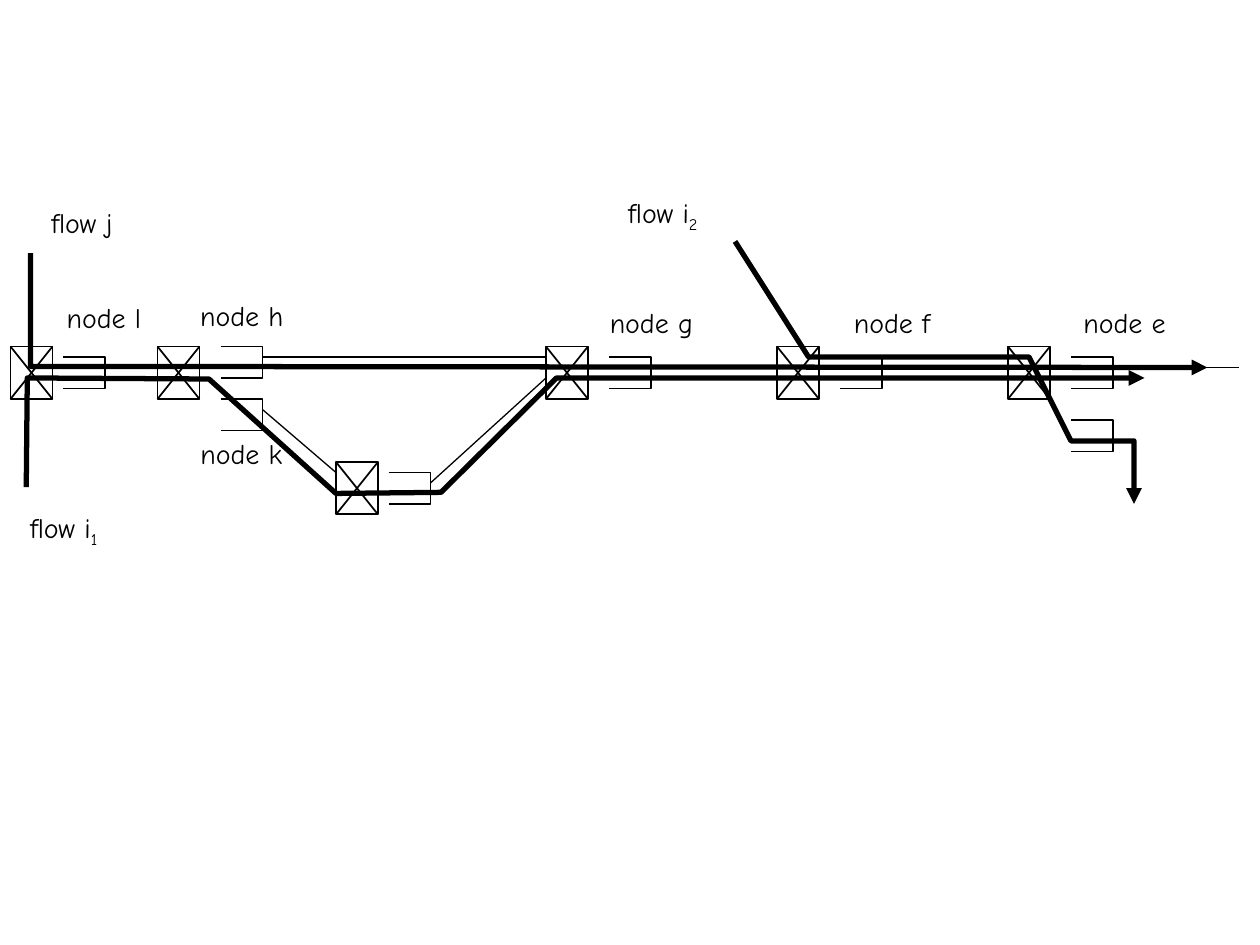
from dataclasses import dataclass

from lxml.etree import SubElement
from pptx import Presentation
from pptx.dml.color import RGBColor
from pptx.enum.shapes import MSO_CONNECTOR, MSO_SHAPE
from pptx.enum.text import MSO_AUTO_SIZE, PP_ALIGN
from pptx.oxml.ns import qn
from pptx.util import Emu, Inches, Pt


@dataclass(frozen=True)
class Theme:
    font: str = "Comic Neue"
    text_size: float = 16
    ink: RGBColor = RGBColor(0, 0, 0)
    paper: RGBColor = RGBColor(255, 255, 255)
    link_width: float = 0.75
    node_width: float = 1
    flow_width: float = 3


@dataclass(frozen=True)
class Label:
    text: str
    left: float
    top: float
    width: float
    subscript: str = ""


THEME = Theme()
Point = tuple[float, float]

# The grid has 120 columns and 90 rows, twelve to the inch
COLUMNS, ROWS = 120, 90
SWITCH_SIZE = (4, 5)
QUEUE_SIZE = (4, 3)
LABEL_SIDE_MARGIN = 0.5

LABELS = [
    Label("flow j", 3.72, 18.96, 8.16),
    Label("node l", 5.16, 28, 9.48),
    Label("node h", 17.88, 27.84, 10.32),
    Label("node g", 56.88, 28.5, 10.32),
    Label("node k", 17.88, 41, 10.2),
    Label("node f", 80.16, 28.5, 9.6),
    Label("node e", 102, 28.5, 10.2),
    Label("flow i", 0.96, 48, 10.2, "1"),
    Label("flow i", 57, 18, 12.24, "2"),
]
SWITCHES = [(1, 33), (15, 33), (52, 33), (32, 44), (74, 33), (96, 33)]
QUEUES = [(6, 34), (21, 33), (21, 38), (58, 34), (37, 45), (80, 34),
          (102, 34), (102, 40)]
LINKS = [
    ((25, 34), (52, 34)), ((62, 35), (74, 35)), ((84, 35), (96, 35)),
    ((3, 35), (15, 35)), ((25, 39), (32, 45)), ((41, 46), (52, 36)),
    ((106, 35), (118, 35)),
]
FLOWS = [
    # flow j
    [(2.9, 24.1), (2.9, 34.9), (115, 35)],
    # flow i1
    [(2.5, 46.4), (2.6, 36), (19.9, 36.1), (32, 47), (42, 46.9), (53, 36),
     (109, 36)],
    # flow i2
    [(70, 23), (77, 34), (98, 34), (102, 42), (108, 42), (108, 48)],
]


def grid(units: float) -> Emu:
    return Inches(units / 12)


def style_line(shape, width: float, color: RGBColor = THEME.ink) -> None:
    shape.line.color.rgb = color
    shape.line.width = Pt(width)


def add_text(paragraph, text: str, *, size: float = THEME.text_size,
             color: RGBColor = THEME.ink, baseline: int = 0) -> None:
    run = paragraph.add_run()
    run.text = text
    run.font.name = THEME.font
    run.font.size = Pt(size)
    run.font.color.rgb = color
    if baseline:
        run._r.get_or_add_rPr().set("baseline", str(baseline * 1000))


def add_label(shapes, label: Label) -> None:
    height = 4.92 if label.subscript else 4.44
    box = shapes.add_textbox(grid(label.left), grid(label.top),
                             grid(label.width), grid(height))
    style_line(box, THEME.link_width, THEME.paper)
    frame = box.text_frame
    # Narrow side margins keep each name on one line
    frame.margin_left = frame.margin_right = grid(LABEL_SIDE_MARGIN)
    frame.word_wrap = True
    frame.auto_size = MSO_AUTO_SIZE.SHAPE_TO_FIT_TEXT
    paragraph = frame.paragraphs[0]
    paragraph.alignment = PP_ALIGN.CENTER
    add_text(paragraph, label.text)
    if label.subscript:
        add_text(paragraph, label.subscript, baseline=-25)


def add_line(shapes, start: Point, end: Point, width: float) -> None:
    line = shapes.add_connector(MSO_CONNECTOR.STRAIGHT,
                                *(grid(value) for value in start + end))
    style_line(line, width)
    SubElement(line._element.spPr, qn("a:effectLst"))


def add_open_path(shapes, points: list[Point], width: float):
    corners = [(grid(x), grid(y)) for x, y in points]
    builder = shapes.build_freeform(*corners[0])
    builder.add_line_segments(corners[1:], close=False)
    shape = builder.convert_to_shape()
    shape.shadow.inherit = False
    shape.fill.background()
    style_line(shape, width)
    return shape


def add_queue(shapes, left: float, top: float) -> None:
    width, height = QUEUE_SIZE
    right, bottom = left + width, top + height
    queue = add_open_path(
        shapes, [(left, top), (right, top), (right, bottom), (left, bottom)],
        THEME.node_width)
    queue.fill.solid()
    queue.fill.fore_color.rgb = THEME.paper


def add_switch(shapes, left: float, top: float) -> None:
    width, height = SWITCH_SIZE
    right, bottom = left + width, top + height
    group = shapes.add_group_shape()
    frame = group.shapes.add_shape(MSO_SHAPE.RECTANGLE, grid(left), grid(top),
                                   grid(width), grid(height))
    frame.shadow.inherit = False
    frame.fill.background()
    style_line(frame, THEME.node_width)
    add_line(group.shapes, (left, top), (right, bottom), THEME.node_width)
    add_line(group.shapes, (left, bottom), (right, top), THEME.node_width)


def add_flow(shapes, points: list[Point]) -> None:
    flow = add_open_path(shapes, points, THEME.flow_width)
    SubElement(flow.line._get_or_add_ln(), qn("a:tailEnd"), type="triangle")


def main() -> None:
    presentation = Presentation()
    presentation.slide_width = grid(COLUMNS)
    presentation.slide_height = grid(ROWS)
    slide = presentation.slides.add_slide(presentation.slide_layouts[6])
    shapes = slide.shapes

    # Names of flows and nodes
    for label in LABELS:
        add_label(shapes, label)
    # Output queues and crossed switches
    for left, top in QUEUES:
        add_queue(shapes, left, top)
    for left, top in SWITCHES:
        add_switch(shapes, left, top)
    # Thin links, then the thick flows over them
    for start, end in LINKS:
        add_line(shapes, start, end, THEME.link_width)
    for points in FLOWS:
        add_flow(shapes, points)

    presentation.save("out.pptx")


if __name__ == "__main__":
    main()
